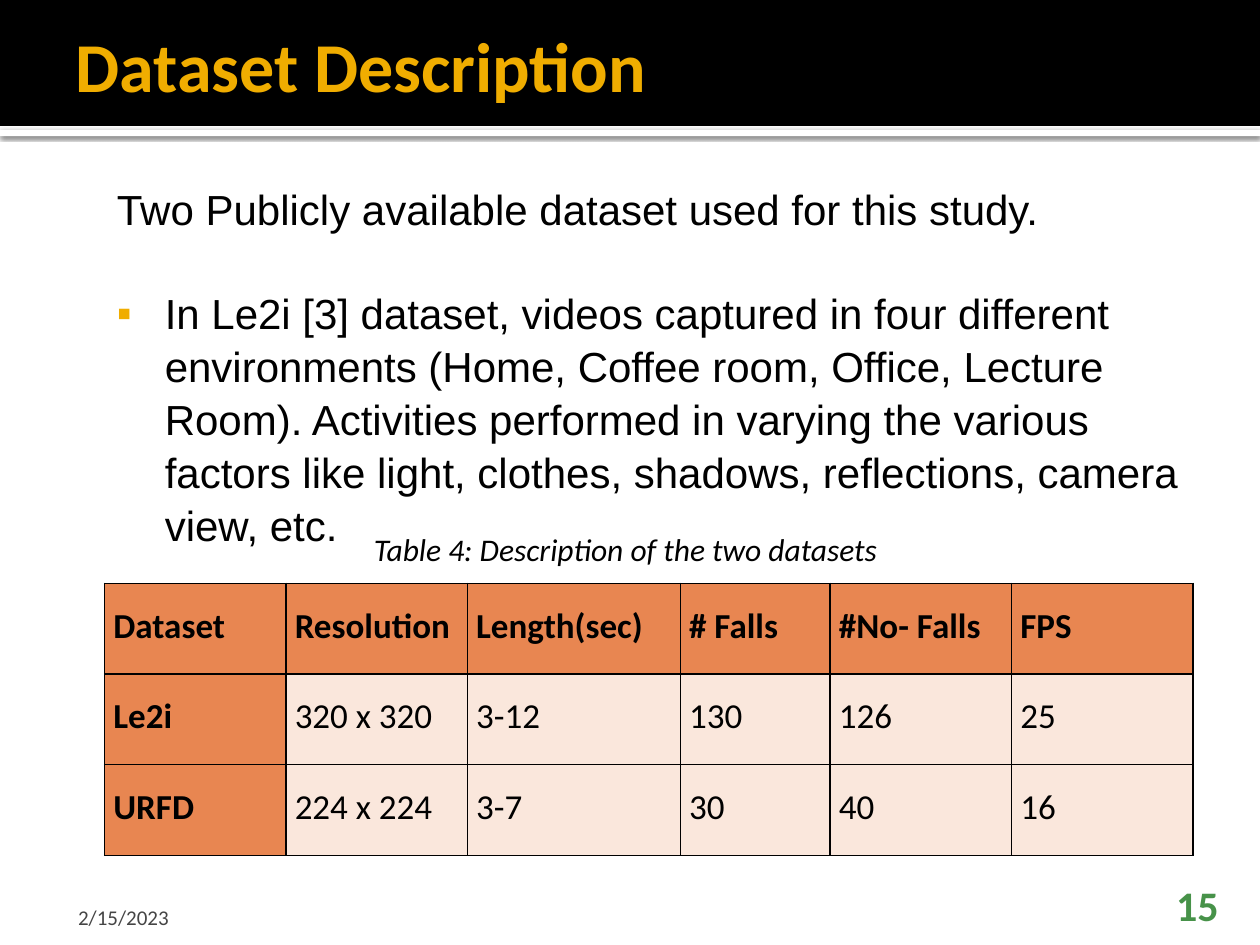
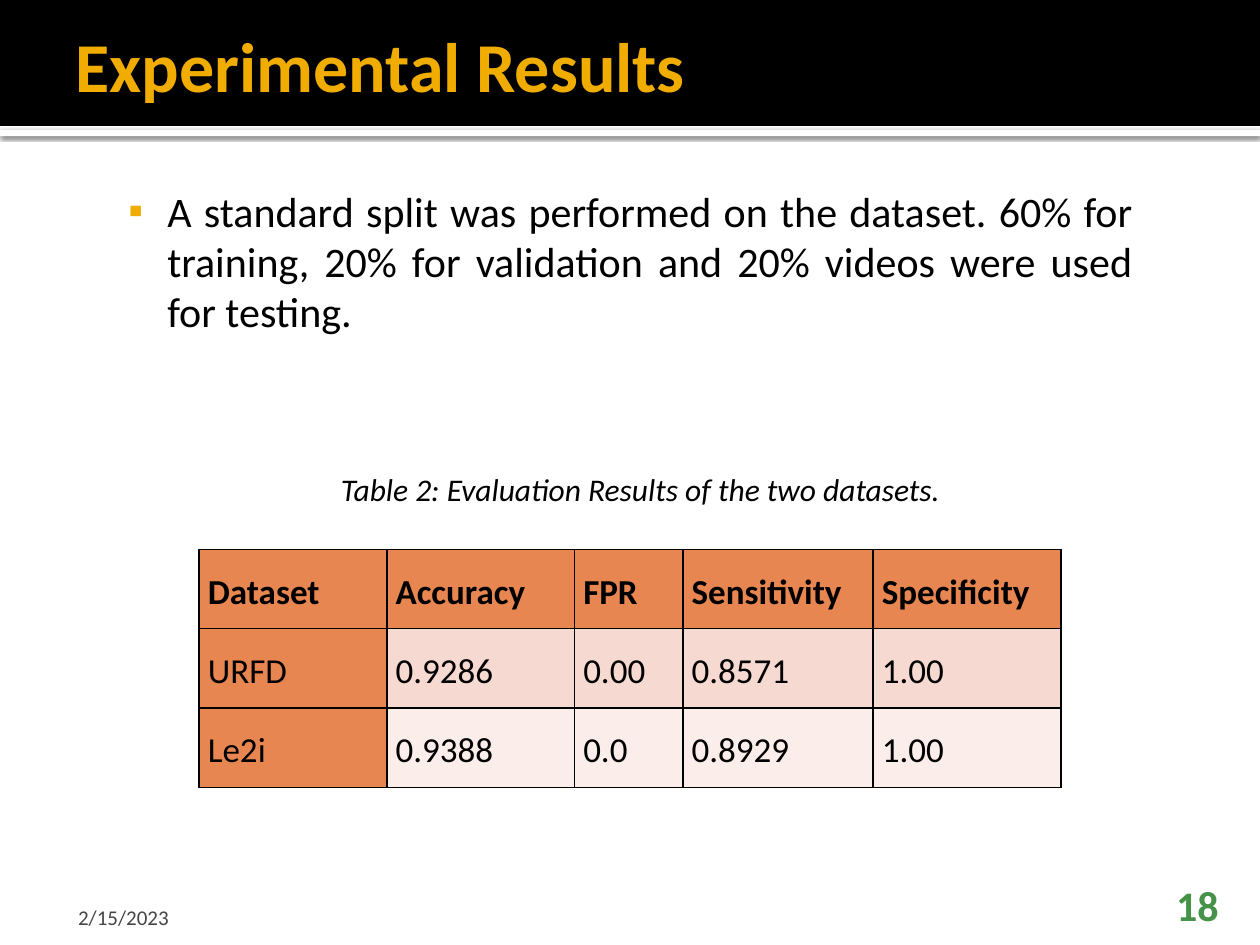
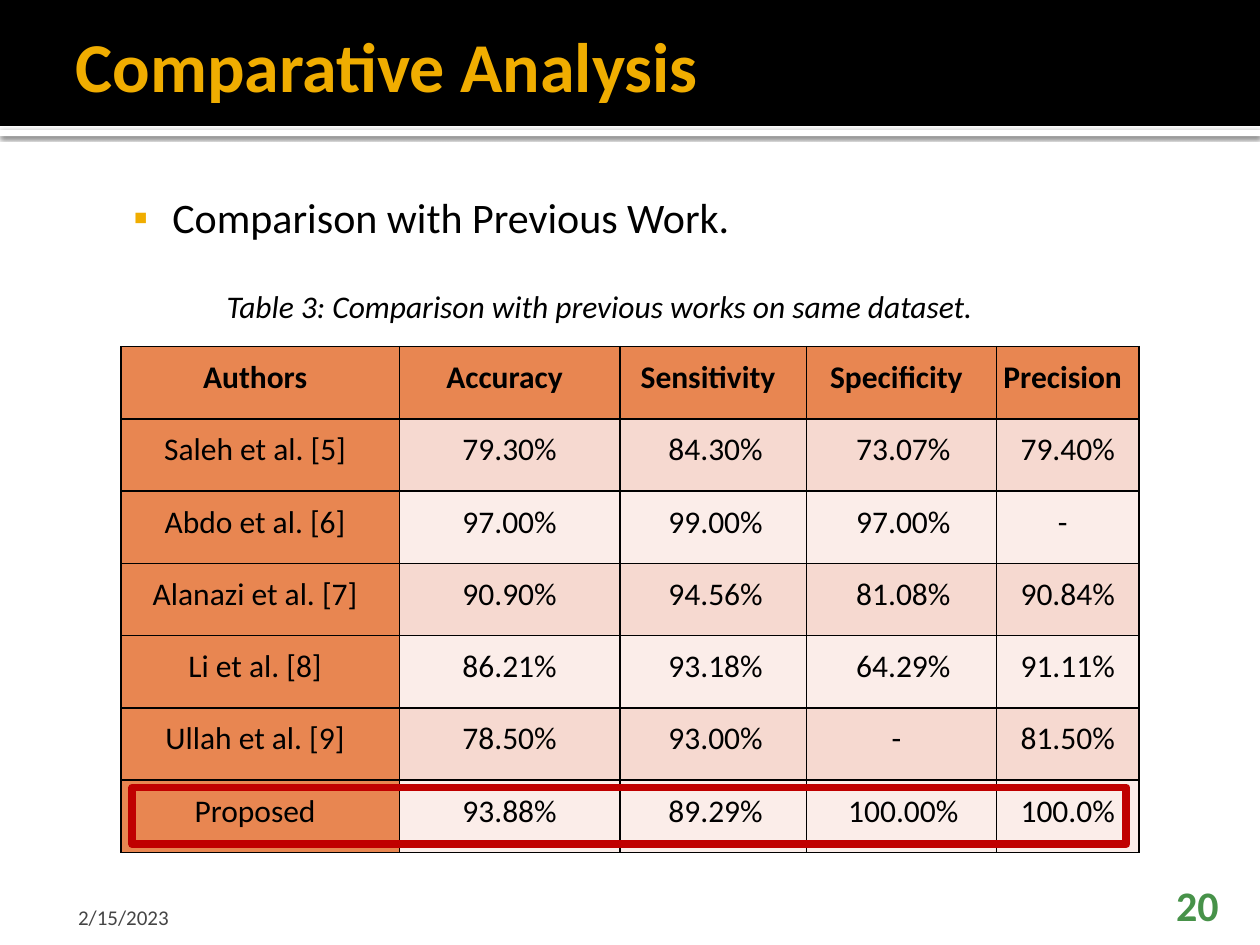
from lxml import etree
from pptx import Presentation
from pptx.dml.color import RGBColor
from pptx.enum.shapes import MSO_SHAPE
from pptx.enum.text import MSO_ANCHOR, PP_ALIGN
from pptx.oxml.ns import qn
from pptx.util import Inches, Pt

# Colours and fonts
BLACK = RGBColor(0x00, 0x00, 0x00)
WHITE = RGBColor(0xFF, 0xFF, 0xFF)
GOLD = RGBColor(0xF0, 0xAD, 0x00)
GREY = RGBColor(0x45, 0x45, 0x45)
GREEN = RGBColor(0x47, 0x92, 0x49)
RED = RGBColor(0xC0, 0x00, 0x00)
ORANGE = RGBColor(0xE8, 0x86, 0x51)
CREAM = RGBColor(0xFA, 0xE7, 0xDC)
PINK = RGBColor(0xF6, 0xD9, 0xD0)
PALE = RGBColor(0xFB, 0xED, 0xE9)
SANS, ARIAL = "Calibri", "Arial"
LEFT, MID, RIGHT, FULL = (PP_ALIGN.LEFT, PP_ALIGN.CENTER,
                          PP_ALIGN.RIGHT, PP_ALIGN.JUSTIFY)

# Shared text formats
WIDE, HIGH = 10, 7.5
PAD = (0.1, 0.05, 0.1, 0.05)
HEAD = dict(name=SANS, size=Pt(40), bold=True, color=GOLD)
BODY = dict(name=SANS, size=Pt(24), color=BLACK)
NOTE = dict(name=SANS, size=Pt(18), italic=True, color=BLACK)
DATE = dict(name=SANS, size=Pt(12), color=GREY)
PAGE = dict(name=SANS, size=Pt(24), bold=True, color=GREEN)

# Table formats
ROOMY = dict(size=20, pad=(0.07, 0, 0.07, 0),
             para=dict(line_spacing=1.5, space_before=Pt(12), space_after=Pt(6)))
TIGHT = dict(size=18, pad=(0, 0.05, 0.08, 0), para=dict(line_spacing=1.15))

# Content
DAY = "2/15/2023"
SLIDES = [
    dict(
        title="Dataset Description", page="15",
        body=dict(at=(0.83, 1.39, 8.67, 2.52), font=dict(BODY, name=ARIAL),
                  align=LEFT, hang=0.38, para=dict(line_spacing=1.05),
                  lead="Two Publicly available dataset used for this study.",
                  gap=29,
                  text="In Le2i [3] dataset, videos captured in four different "
                       "environments (Home, Coffee room, Office, Lecture Room). "
                       "Activities performed in varying the various factors like "
                       "light, clothes, shadows, reflections, camera view, etc."),
        note=("Table 4: Description of the two datasets ",
              (1.58, 4.16, 6.83, 0.4), MID),
        table=dict(look=ROOMY, at=(0.83, 4.63), tall=0.72, align=LEFT,
                   cols=(1.44, 1.44, 1.69, 1.19, 1.44, 1.44),
                   bands=(CREAM,), strong=True,
                   rows=[("Dataset", "Resolution", "Length(sec)", "# Falls",
                          "#No- Falls", "FPS"),
                         ("Le2i", "320 x 320", "3-12", "130", "126", "25"),
                         ("URFD", "224 x 224", "3-7", "30", "40", "16")]),
    ),
    dict(
        title="Experimental Results", page="18",
        body=dict(at=(0.92, 1.42, 8.17, 1.31), font=BODY, align=FULL, hang=0.31,
                  text="A standard split was performed on the dataset. 60% for "
                       "training, 20% for validation and 20% videos were used "
                       "for testing."),
        note=("Table 2: Evaluation Results of the two datasets.",
              (1.67, 3.68, 6.83, 0.4), MID),
        table=dict(look=ROOMY, at=(1.58, 4.36), tall=0.63, align=FULL,
                   cols=(1.49, 1.49, 0.86, 1.51, 1.49), bands=(PINK, PALE),
                   rows=[("Dataset", "Accuracy", "FPR", "Sensitivity",
                          "Specificity"),
                         ("URFD", "0.9286", "0.00", "0.8571", "1.00"),
                         ("Le2i", "0.9388", "0.0", "0.8929", "1.00")]),
    ),
    dict(
        title="Comparative Analysis", page="20",
        body=dict(at=(0.96, 1.47, 5.04, 0.5), font=BODY, align=LEFT, hang=0.31,
                  text="Comparison with Previous Work."),
        note=("Table 3: Comparison with previous works on same dataset.",
              (1.7, 2.23, 6.61, 0.4), LEFT),
        table=dict(look=TIGHT, at=(0.96, 2.75), tall=0.574, align=MID,
                   cols=(2.21, 1.75, 1.48, 1.51, 1.13), bands=(PINK, PALE),
                   shift=(0, 0.08, 0.12, 0.11, 0.08),
                   rows=[("Authors", "Accuracy", "Sensitivity", "Specificity",
                          "Precision"),
                         ("Saleh et al. [5]", "79.30%", "84.30%", "73.07%", "79.40%"),
                         ("Abdo et al. [6]", "97.00%", "99.00%", "97.00%", "-"),
                         ("Alanazi et al. [7]", "90.90%", "94.56%", "81.08%", "90.84%"),
                         ("Li et al. [8]", "86.21%", "93.18%", "64.29%", "91.11%"),
                         ("Ullah et al. [9]", "78.50%", "93.00%", "-", "81.50%"),
                         ("Proposed", "93.88%", "89.29%", "100.00%", "100.0%")]),
        mark=(1.05, 6.25, 7.89, 0.45),
    ),
]


def inch(vals):
    return [Inches(v) for v in vals]


def sub(node, tag, **attrs):
    return etree.SubElement(node, qn(tag), attrs)


def paint(node, color, alpha=None):
    tint = sub(node, "a:srgbClr", val=str(color))
    if alpha:
        sub(tint, "a:alpha", val=str(alpha * 1000))


def write(para, text, font, align=LEFT, form=None):
    run = para.add_run()
    run.text = text
    for key, val in font.items():
        if key == "color":
            run.font.color.rgb = val
        else:
            setattr(run.font, key, val)
    for key, val in dict(form or {}, alignment=align).items():
        setattr(para, key, val)


def pad_out(frame, pad):
    sides = ("margin_left", "margin_top", "margin_right", "margin_bottom")
    for side, val in zip(sides, inch(pad)):
        setattr(frame, side, val)


def add_box(slide, at, pad=PAD, anchor=MSO_ANCHOR.TOP):
    frame = slide.shapes.add_textbox(*inch(at)).text_frame
    frame.word_wrap = True
    frame.vertical_anchor = anchor
    pad_out(frame, pad)
    return frame


def indent(para, left, first=0):
    props = para._p.get_or_add_pPr()
    props.set("marL", str(Inches(left)))
    props.set("indent", str(Inches(first)))
    return props


def add_rect(slide, at):
    shape = slide.shapes.add_shape(MSO_SHAPE.RECTANGLE, *inch(at))
    shape.shadow.inherit = False
    return shape


def add_frame(slide, title, page):
    # Header bands, placed behind the title
    tree = slide.shapes._spTree
    for spot, (top, tall, color) in enumerate([(1.03, 0.05, WHITE), (0, 1, BLACK)]):
        band = add_rect(slide, (0, top, WIDE, tall))
        band.fill.solid()
        band.fill.fore_color.rgb = color
        band.line.fill.background()
        tree.insert(2 + spot, band._element)
        if color == WHITE:
            glow = sub(band._element.spPr.find(qn("a:effectLst")), "a:outerShdw",
                       blurRad=str(Pt(2.5)), dist=str(Pt(0.8)), dir="5400000",
                       algn="t", rotWithShape="0")
            paint(glow, BLACK, 60)
    # Title
    head = slide.shapes.title
    head.left, head.top, head.width, head.height = inch((0.5, 0.08, 9, 0.87))
    head.text_frame.vertical_anchor = MSO_ANCHOR.MIDDLE
    pad_out(head.text_frame, (0.1, 0.05, 0.05, 0.05))
    write(head.text_frame.paragraphs[0], title, HEAD)
    # Footer
    for text, left, wide, pad, font, align in [
            (DAY, 0.5, 2.33, (0.12, 0.05, 0.05, 0), DATE, LEFT),
            (page, 8.97, 0.8, (0.1, 0.05, 0.1, 0), PAGE, RIGHT)]:
        foot = add_box(slide, (left, 7.08, wide, 0.3), pad, MSO_ANCHOR.BOTTOM)
        write(foot.paragraphs[0], text, font, align)


def add_body(slide, at, font, align, hang, text, lead=None, gap=0, para=None):
    frame = add_box(slide, at)
    line = frame.paragraphs[0]
    if lead:
        write(line, lead, font, align, para)
        line = frame.add_paragraph()
    write(line, text, font, align, dict(para or {}, space_before=Pt(gap)))
    props = indent(line, hang, -hang)
    paint(sub(props, "a:buClr"), GOLD)
    sub(props, "a:buFont", typeface=ARIAL)
    sub(props, "a:buChar", char="▪")


def edge(cell):
    props = cell._tc.get_or_add_tcPr()
    for spot, tag in enumerate(("a:lnL", "a:lnR", "a:lnT", "a:lnB")):
        line = sub(props, tag, w=str(Pt(1)))
        paint(sub(line, "a:solidFill"), BLACK)
        props.insert(spot, line)


def add_grid(slide, look, at, tall, align, cols, bands, rows,
             strong=False, shift=None):
    size = (sum(cols), tall * len(rows))
    grid = slide.shapes.add_table(len(rows), len(cols), *inch(at + size)).table
    for col, wide in zip(grid.columns, cols):
        col.width = Inches(wide)
    for r, row in enumerate(rows):
        grid.rows[r].height = Inches(tall)
        for c, text in enumerate(row):
            cell = grid.cell(r, c)
            pad_out(cell, look["pad"])
            cell.fill.solid()
            side = r == 0 or c == 0
            cell.fill.fore_color.rgb = ORANGE if side else bands[(r - 1) % len(bands)]
            edge(cell)
            font = dict(name=SANS, size=Pt(look["size"]), color=BLACK,
                        bold=r == 0 or (strong and c == 0))
            para = cell.text_frame.paragraphs[0]
            write(para, text, font, align, look["para"])
            if shift and r and text != "-":
                indent(para, shift[c])


def add_mark(slide, at):
    mark = add_rect(slide, at)
    mark.fill.background()
    mark.line.color.rgb = RED
    mark.line.width = Pt(4.5)
    sub(mark._element.spPr.find(qn("a:ln")), "a:round")


def main():
    deck = Presentation()
    deck.slide_width, deck.slide_height = inch((WIDE, HIGH))
    for data in SLIDES:
        slide = deck.slides.add_slide(deck.slide_layouts[5])
        add_frame(slide, data["title"], data["page"])
        add_grid(slide, **data["table"])
        add_body(slide, **data["body"])
        text, at, align = data["note"]
        write(add_box(slide, at).paragraphs[0], text, NOTE, align)
        if "mark" in data:
            add_mark(slide, data["mark"])
    deck.save("out.pptx")


if __name__ == "__main__":
    main()
